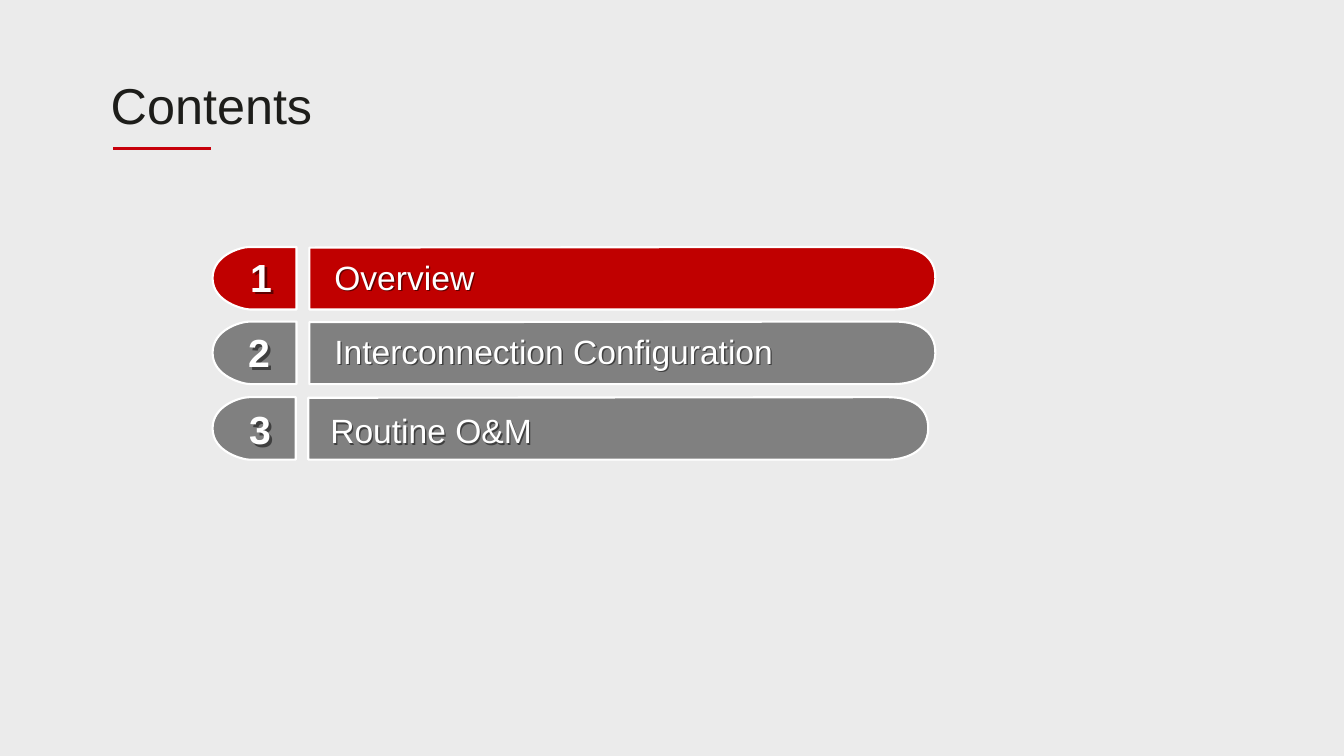
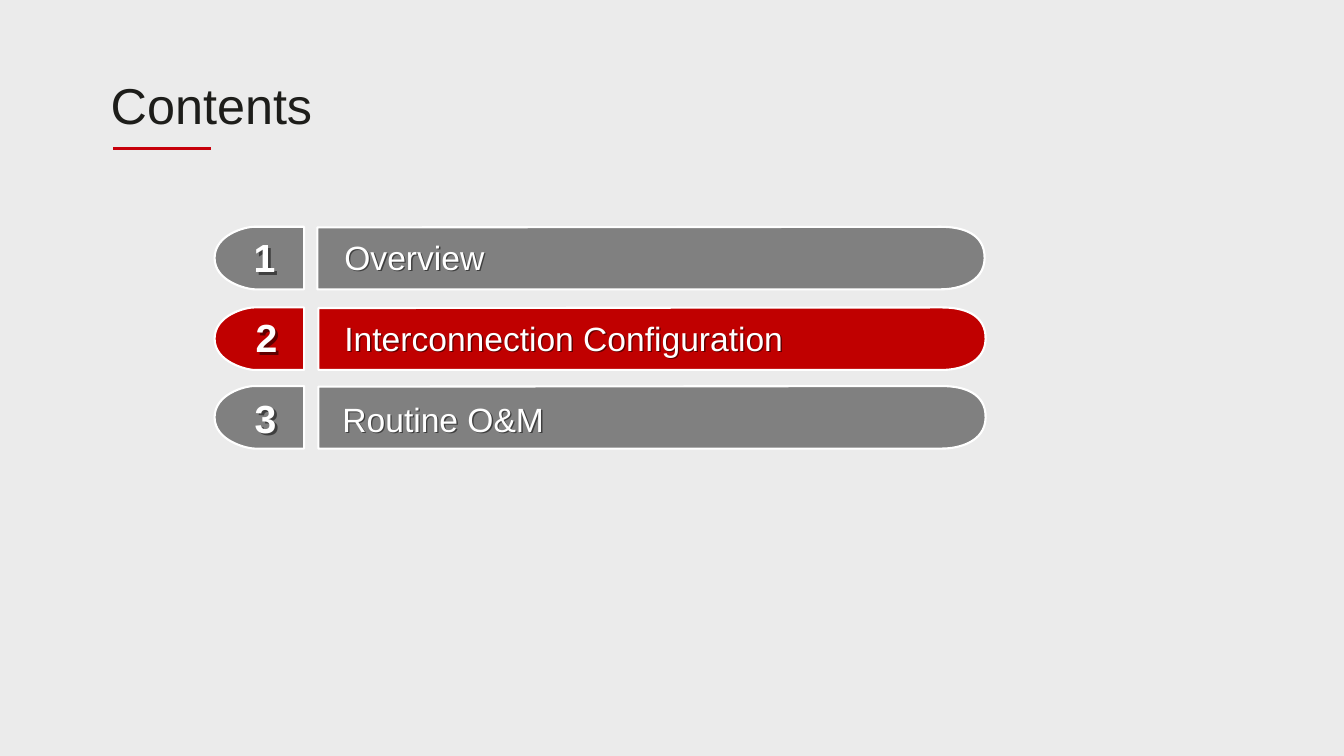
from dataclasses import dataclass

from lxml import etree
from pptx import Presentation
from pptx.dml.color import RGBColor
from pptx.enum import shapes, text
from pptx.oxml import ns
from pptx.util import Inches, Pt

BACKGROUND = RGBColor(0xEB, 0xEB, 0xEB)
RULE_RED = RGBColor(0xC7, 0x00, 0x0B)
TITLE_INK = RGBColor(0x1D, 0x1D, 0x1A)
ACTIVE_RED = RGBColor(0xC0, 0x00, 0x00)
IDLE_GREY = RGBColor(0x80, 0x80, 0x80)
WHITE = RGBColor(0xFF, 0xFF, 0xFF)

FONT = "Arial"
TITLE_STYLE = {"name": FONT, "size": Pt(36)}
NUMBER_STYLE = {"name": FONT, "size": Pt(28), "bold": True}
LABEL_STYLE = {"name": FONT, "size": Pt(24)}
NUMBER_SHADOW = Pt(2.8)
LABEL_SHADOW = Pt(1.4)

SECTIONS = ("Overview", "Interconnection Configuration", "Routine O&M")
CAP_WIDTH_SHARE = 0.134
ROW_HEIGHT = 0.62

# Outlines as shares of width and height: one point is a line, three are a curve.
BAR_OUTLINE = (
    ((0, 0.01),),
    ((0, 1),),
    ((0.034, 1), (0.908, 1), (0.934, 1)),
    ((0.958, 1), (0.998, 0.9), (0.999, 0.51)),
    ((1, 0.11), (0.966, 0), (0.934, 0)),
    ((0.903, 0), (0.034, 0.01), (0, 0.01)),
)
CAP_OUTLINE = (
    ((1, 0),),
    ((1, 0.5), (1, 1), (1, 1)),
    ((0.445, 1),),
    ((0.365, 1), (0, 0.88), (0, 0.5)),
    ((0, 0.13), (0.335, 0), (0.44, 0)),
    ((1, 0),),
)


@dataclass(frozen=True)
class Row:
    number: int
    top: float
    cap_left: float
    bar_left: float
    bar_width: float
    number_at: tuple[float, float]
    label_at: tuple[float, float]
    label_width: float
    label_grouped: bool = True


@dataclass(frozen=True)
class Agenda:
    """Rows of one contents slide, from back to front; the first is active."""
    number_width: float
    rows: tuple[Row, ...]


AGENDAS = (
    Agenda(0.42, (
        Row(1, 2.45, 2.11, 3.07, 6.22, (2.38, 2.46), (3.22, 2.5), 4.91),
        Row(2, 3.19, 2.11, 3.07, 6.22, (2.36, 3.21), (3.22, 3.23), 5.76),
        Row(3, 3.94, 2.11, 3.06, 6.16, (2.37, 3.97), (3.18, 4.02), 4.55, False),
    )),
    Agenda(0.45, (
        Row(2, 3.05, 2.13, 3.16, 6.63, (2.42, 3.06), (3.32, 3.1), 5.24),
        Row(1, 2.25, 2.13, 3.15, 6.63, (2.4, 2.27), (3.32, 2.3), 6.14),
        Row(3, 3.83, 2.13, 3.16, 6.63, (2.41, 3.86), (3.3, 3.91), 6.08, False),
    )),
)


def bend_segments(plate, outline) -> None:
    """Join the three lines of each curved segment into one cubic curve."""
    lines = iter(plate._element.findall(".//" + ns.qn("a:lnTo")))
    for segment in outline[1:]:
        members = [next(lines) for _ in segment]
        if len(members) == 1:
            continue
        curve = etree.Element(ns.qn("a:cubicBezTo"))
        members[0].addprevious(curve)
        for member in members:
            curve.append(member[0])
            member.getparent().remove(member)


def add_plate(parent, outline, left: float, top: float, width: float,
              colour: RGBColor) -> None:
    points = [(Inches(left + x * width), Inches(top + y * ROW_HEIGHT))
              for segment in outline for x, y in segment]
    builder = parent.build_freeform(*points[0])
    builder.add_line_segments(points[1:], close=True)
    plate = builder.convert_to_shape()
    bend_segments(plate, outline)
    plate.shadow.inherit = False
    plate.fill.solid()
    plate.fill.fore_color.rgb = colour
    plate.line.color.rgb = WHITE
    plate.line.width = Pt(1.5)


def add_text(parent, wording: str, at: tuple[float, float], size: tuple[float, float],
             style: dict, colour: RGBColor, align=text.PP_ALIGN.LEFT,
             wrap: bool = True, shadow: int = 0) -> None:
    box = parent.add_textbox(*map(Inches, (*at, *size)))
    frame = box.text_frame
    frame.word_wrap = wrap
    frame.auto_size = text.MSO_AUTO_SIZE.SHAPE_TO_FIT_TEXT
    paragraph = frame.paragraphs[0]
    paragraph.alignment = align
    run = paragraph.add_run()
    run.text = wording
    for attribute, value in style.items():
        setattr(run.font, attribute, value)
    run.font.color.rgb = colour
    if shadow:
        add_shadow(box, shadow)


def add_shadow(box, distance: int) -> None:
    """An unfilled box casts the shadow of its text."""
    effects = etree.SubElement(box._element.spPr, ns.qn("a:effectLst"))
    outer = etree.SubElement(effects, ns.qn("a:outerShdw"), dist=str(distance),
                             dir="2700000", algn="ctr", rotWithShape="0")
    tint = etree.SubElement(outer, ns.qn("a:srgbClr"), val="000000")
    etree.SubElement(tint, ns.qn("a:alpha"), val="50000")


def add_heading(slide) -> None:
    rule = slide.shapes.add_connector(
        shapes.MSO_CONNECTOR.STRAIGHT, *map(Inches, (2.09, 1.47, 1.12, 1.47)))
    rule.line.color.rgb = RULE_RED
    rule.line.width = Pt(2.25)
    etree.SubElement(rule._element.spPr, ns.qn("a:effectLst"))
    add_text(slide.shapes, "Contents", (1, 0.69), (2.22, 0.71),
             TITLE_STYLE, TITLE_INK, wrap=False)


def add_row(slide, row: Row, number_width: float, colour: RGBColor) -> None:
    group = slide.shapes.add_group_shape().shapes
    add_plate(group, BAR_OUTLINE, row.bar_left, row.top, row.bar_width, colour)
    add_plate(group, CAP_OUTLINE, row.cap_left, row.top,
              row.bar_width * CAP_WIDTH_SHARE, colour)
    add_text(group if row.label_grouped else slide.shapes,
             SECTIONS[row.number - 1], row.label_at, (row.label_width, 0.5),
             LABEL_STYLE, WHITE, shadow=LABEL_SHADOW)
    add_text(group, str(row.number), row.number_at, (number_width, 0.57),
             NUMBER_STYLE, WHITE, align=text.PP_ALIGN.CENTER, shadow=NUMBER_SHADOW)


def main() -> None:
    deck = Presentation()
    deck.slide_width, deck.slide_height = Inches(13.34), Inches(7.5)
    backdrop = deck.slide_master.background.fill
    backdrop.solid()
    backdrop.fore_color.rgb = BACKGROUND
    for agenda in AGENDAS:
        slide = deck.slides.add_slide(deck.slide_layouts[6])
        add_heading(slide)
        for index, row in enumerate(agenda.rows):
            add_row(slide, row, agenda.number_width, IDLE_GREY if index else ACTIVE_RED)
    deck.save("out.pptx")


if __name__ == "__main__":
    main()
